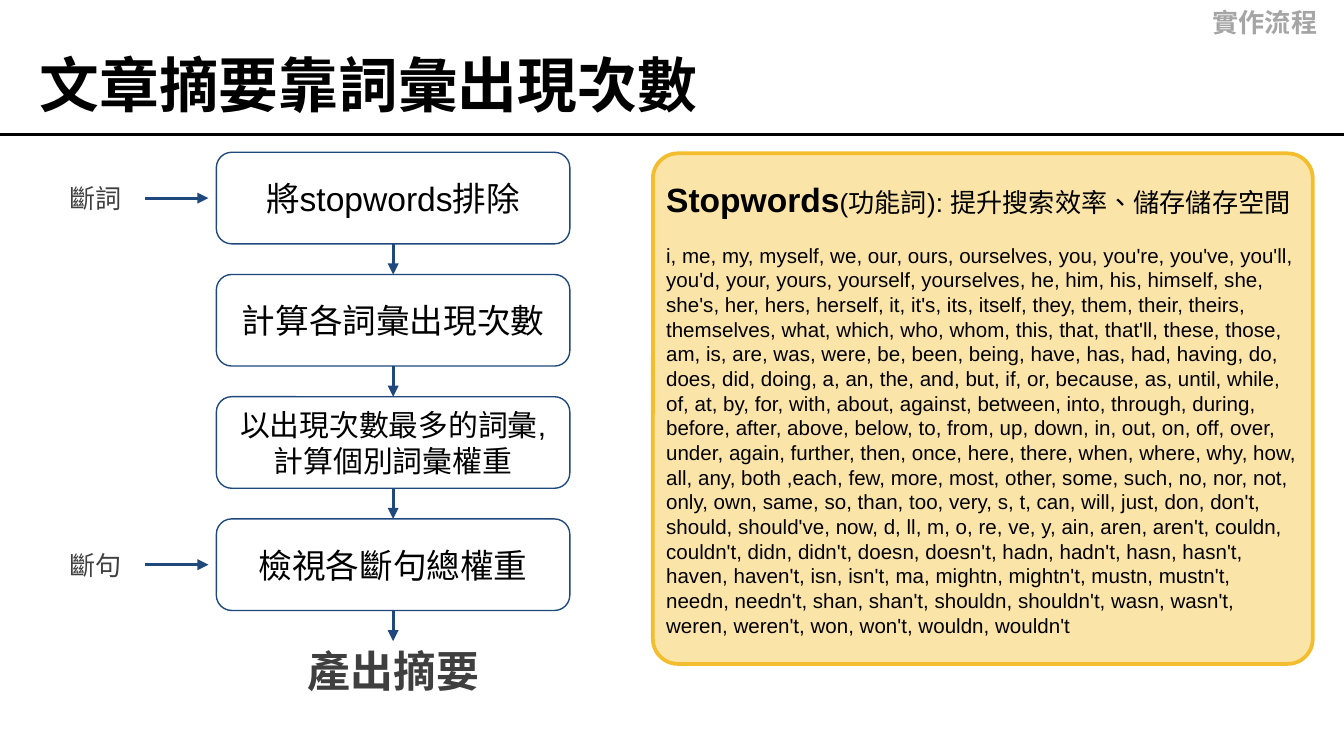
"""Build a slide on summarising articles by word counts."""
from dataclasses import dataclass

from lxml import etree
from pptx import Presentation
from pptx import util as u
from pptx.dml import color
from pptx.enum import lang, shapes, text
from pptx.oxml import ns


@dataclass(frozen=True)
class Theme:
    face: str = "Arial"
    ink: str = "000000"
    soft: str = "3F3F3F"
    pale: str = "A5A5A5"
    navy: str = "1F497D"
    white: str = "FFFFFF"
    cream: str = "FBE4A8"
    gold: str = "F4BD2D"
    title: int = 32
    end: int = 23
    large: int = 18
    mid: int = 16
    small: int = 14
    tiny: int = 11


@dataclass(frozen=True)
class Area:
    x: float
    y: float
    w: float
    h: float

    def cm(self) -> tuple:
        return tuple(u.Cm(v) for v in (self.x, self.y, self.w, self.h))


@dataclass(frozen=True)
class Run:
    words: str
    size: int
    hue: str = Theme.ink
    bold: bool = False


@dataclass(frozen=True)
class Step:
    words: str
    size: int = Theme.large
    side: str = ""


T = Theme()
LEFT, MID, RIGHT = text.PP_ALIGN.LEFT, text.PP_ALIGN.CENTER, text.PP_ALIGN.RIGHT
TOP, CORE = text.MSO_ANCHOR.TOP, text.MSO_ANCHOR.MIDDLE
PAD = 0.25
WIDE, TALL = 25.4, 14.29
BOX = Area(4.09, 2.88, 6.68, 1.73)
PITCH = 2.31
PANEL = Area(12.34, 2.9, 12.47, 9.65)

STEPS = [
    Step("將stopwords排除", side="斷詞"),
    Step("計算各詞彙出現次數"),
    Step("以出現次數最多的詞彙,計算個別詞彙權重", T.mid),
    Step("檢視各斷句總權重", side="斷句"),
]

WORDS = [
    "i, me, my, myself, we, our, ours, ourselves, you, you're, you've, you'll,",
    "you'd, your, yours, yourself, yourselves, he, him, his, himself, she,",
    "she's, her, hers, herself, it, it's, its, itself, they, them, their, theirs,",
    "themselves, what, which, who, whom, this, that, that'll, these, those,",
    "am, is, are, was, were, be, been, being, have, has, had, having, do,",
    "does, did, doing, a, an, the, and, but, if, or, because, as, until, while,",
    "of, at, by, for, with, about, against, between, into, through, during,",
    "before, after, above, below, to, from, up, down, in, out, on, off, over,",
    "under, again, further, then, once, here, there, when, where, why, how,",
    "all, any, both ,each, few, more, most, other, some, such, no, nor, not,",
    "only, own, same, so, than, too, very, s, t, can, will, just, don, don't,",
    "should, should've, now, d, ll, m, o, re, ve, y, ain, aren, aren't, couldn,",
    "couldn't, didn, didn't, doesn, doesn't, hadn, hadn't, hasn, hasn't,",
    "haven, haven't, isn, isn't, ma, mightn, mightn't, mustn, mustn't,",
    "needn, needn't, shan, shan't, shouldn, shouldn't, wasn, wasn't,",
    "weren, weren't, won, won't, wouldn, wouldn't",
]


def rgb(hue: str) -> color.RGBColor:
    return color.RGBColor.from_string(hue)


def put(item, look: dict) -> None:
    for key, value in look.items():
        setattr(item, key, value)


def write(frame, runs: list[Run], align=MID, anchor=CORE, edge=PAD, right=PAD) -> None:
    put(frame, {
        "word_wrap": True, "auto_size": text.MSO_AUTO_SIZE.NONE,
        "vertical_anchor": anchor, "margin_left": u.Cm(PAD),
        "margin_right": u.Cm(right), "margin_top": u.Cm(edge),
        "margin_bottom": u.Cm(edge),
    })
    para = frame.paragraphs[0]
    para.alignment = align
    for run in runs:
        part = para.add_run()
        part.text = run.words
        put(part.font, {
            "name": T.face, "size": u.Pt(run.size), "bold": run.bold,
            "language_id": lang.MSO_LANGUAGE_ID.TRADITIONAL_CHINESE,
        })
        part.font.color.rgb = rgb(run.hue)


def label(slide, area: Area, runs: list[Run], **look) -> None:
    write(slide.shapes.add_textbox(*area.cm()).text_frame, runs, **look)


def card(slide, area: Area, fill: str, edge: str, width: float, bend: float):
    shape = slide.shapes.add_shape(shapes.MSO_SHAPE.ROUNDED_RECTANGLE, *area.cm())
    shape.adjustments[0] = bend
    shape.shadow.inherit = False
    shape.fill.solid()
    shape.fill.fore_color.rgb = rgb(fill)
    shape.line.color.rgb = rgb(edge)
    shape.line.width = u.Pt(width)
    return shape


def link(slide, x: float, y: float, x2: float, y2: float, hue=T.navy, head=True):
    ends = [u.Cm(v) for v in (x, y, x2, y2)]
    line = slide.shapes.add_connector(shapes.MSO_CONNECTOR.STRAIGHT, *ends)
    line.line.color.rgb = rgb(hue)
    line.line.width = u.Pt(1.5)
    props = line.element.spPr
    if head:
        etree.SubElement(props.find(ns.qn("a:ln")), ns.qn("a:tailEnd"), type="triangle")
    etree.SubElement(props, ns.qn("a:effectLst"))
    return line


def flow(slide) -> None:
    cards = []
    axis = BOX.x + BOX.w / 2
    for i, step in enumerate(STEPS):
        y = BOX.y + i * PITCH
        core = y + BOX.h / 2
        shape = card(slide, Area(BOX.x, y, BOX.w, BOX.h), T.white, T.navy, 0.75, 0.167)
        write(shape.text_frame, [Run(step.words, step.size)])
        cards.append(shape)
        if step.side:
            label(slide, Area(0.25, core - 0.43, 3.12, 0.86),
                  [Run(step.side, T.small, T.soft)])
            link(slide, 2.74, core, 3.94, core)
    for i, shape in enumerate(cards):
        y = BOX.y + i * PITCH
        line = link(slide, axis, y + BOX.h, axis, y + PITCH)
        line.begin_connect(shape, 2)
        if i + 1 < len(cards):
            line.end_connect(cards[i + 1], 0)
    label(slide, Area(5.08, 12.24, 4.72, 0.86), [Run("產出摘要", T.end, T.soft, True)])


def panel(slide) -> None:
    card(slide, PANEL, T.cream, T.gold, 2, 0.049)
    label(slide, Area(PANEL.x, 3.15, PANEL.w, 1.22), [
        Run("Stopwords", T.large, bold=True),
        Run("(功能詞): 提升搜索效率、儲存儲存空間", T.small),
    ], align=LEFT)
    label(slide, Area(PANEL.x, 4.34, PANEL.w, 8.03), [Run(" ".join(WORDS), T.tiny)],
          align=LEFT, anchor=TOP)


def main() -> None:
    deck = Presentation()
    put(deck, {"slide_width": u.Cm(WIDE), "slide_height": u.Cm(TALL)})
    slide = deck.slides.add_slide(deck.slide_layouts[5])
    title = slide.shapes.title
    put(title, dict(zip(("left", "top", "width", "height"),
                        Area(0.5, 0.36, 23.6, 2.46).cm())))
    write(title.text_frame, [Run("文章摘要靠詞彙出現次數", T.title, bold=True)],
          align=LEFT, edge=0.13)
    link(slide, 0, 2.54, WIDE, 2.54, T.ink, False)
    panel(slide)
    flow(slide)
    label(slide, Area(20.5, 0, 4.9, 0.86), [Run("實作流程", T.small, T.pale, True)],
          align=RIGHT, anchor=TOP, edge=0.13, right=0.5)
    deck.save("out.pptx")


if __name__ == "__main__":
    main()
